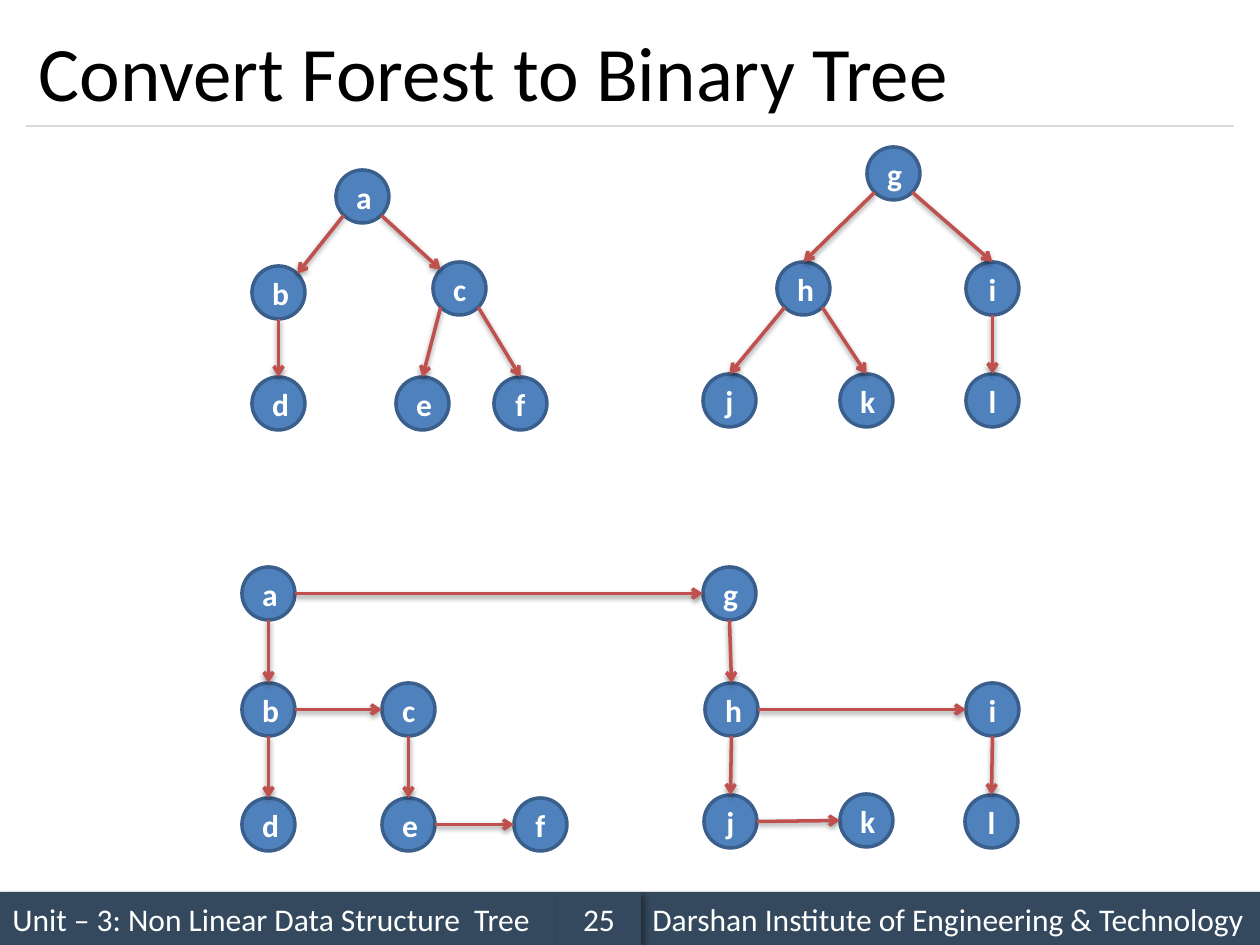
from lxml import etree
from pptx import Presentation
from pptx.dml.color import RGBColor
from pptx.enum.shapes import MSO_CONNECTOR, MSO_SHAPE
from pptx.enum.text import MSO_ANCHOR, PP_ALIGN
from pptx.oxml.ns import qn
from pptx.util import Pt

PX = 914400 / 126
LEFT, CENTER = PP_ALIGN.LEFT, PP_ALIGN.CENTER
MIDDLE = MSO_ANCHOR.MIDDLE
RECT, OVAL = MSO_SHAPE.RECTANGLE, MSO_SHAPE.OVAL
STRAIGHT = MSO_CONNECTOR.STRAIGHT
FONT = "Calibri"
WHITE, BLACK, RULE, BAR = "FFFFFF", "000000", "D9D9D9", "34495E"
NODE, NODE_LINE, EDGE = "4F81BD", "3A5F8C", "C0504D"
NODE_SIZE = 53
BAR_SHADOW = dict(blur=4, dist=3, angle=45, alpha=40)
EDGE_SHADOW = dict(blur=3.1, dist=1.6, angle=90, alpha=38)
SITES = {"top": (0, -1), "bottom": (0, 1), "left": (-1, 0), "right": (1, 0),
         "tl": (-0.71, -0.71), "tr": (0.71, -0.71),
         "bl": (-0.71, 0.71), "br": (0.71, 0.71)}


def px(*values):
    """Turn pixel lengths into EMU."""
    return [round(v * PX) for v in values]


def rgb(value):
    """Return the colour of a hex string."""
    return RGBColor.from_string(value)


def set_text(sp, text, size=18, color=WHITE, bold=False, align=CENTER):
    """Write one formatted paragraph into a shape."""
    tf = sp.text_frame
    tf.word_wrap = True
    tf.vertical_anchor = MIDDLE
    p = tf.paragraphs[0]
    p.alignment = align
    r = p.add_run()
    r.text = text
    r.font.name = FONT
    r.font.size = Pt(size)
    r.font.bold = bold
    r.font.color.rgb = rgb(color)


def set_shadow(sp, blur, dist, angle, alpha):
    """Give a shape an outer shadow in black."""
    effects = sp._element.spPr.find(qn("a:effectLst"))
    shadow = etree.SubElement(
        effects, qn("a:outerShdw"), blurRad=str(Pt(blur)), dist=str(Pt(dist)),
        dir=str(angle * 60000), algn="ctr", rotWithShape="0")
    color = etree.SubElement(shadow, qn("a:srgbClr"), val=BLACK)
    etree.SubElement(color, qn("a:alpha"), val=str(alpha * 1000))


def add_filled(shapes, kind, box, fill, line=None):
    """Add a flat preset shape, outlined if a line colour is given."""
    sp = shapes.add_shape(kind, *px(*box))
    sp.shadow.inherit = False
    sp.fill.solid()
    sp.fill.fore_color.rgb = rgb(fill)
    if line:
        sp.line.color.rgb = rgb(line)
        sp.line.width = Pt(2)
    else:
        sp.line.fill.background()
    return sp


def add_line(shapes, start, end, color, width):
    """Add a straight connector without a shadow."""
    cxn = shapes.add_connector(STRAIGHT, *px(*start, *end))
    cxn.line.color.rgb = rgb(color)
    cxn.line.width = Pt(width)
    etree.SubElement(cxn._element.spPr, qn("a:effectLst"))
    return cxn


def add_edge(shapes, start, end):
    """Add an arrow between two points."""
    cxn = add_line(shapes, start, end, EDGE, 2)
    etree.SubElement(cxn.line._get_or_add_ln(), qn("a:tailEnd"), type="arrow")
    set_shadow(cxn, **EDGE_SHADOW)


def add_tree(shapes, x, y, nodes, edges):
    """Draw named nodes, and arrows between their sites, from a corner."""
    radius = NODE_SIZE / 2

    def site(name, side):
        """Return the point on one side of a node."""
        return [corner + at + radius * (1 + offset)
                for corner, at, offset in zip((x, y), nodes[name], SITES[side])]

    for name, (left, top) in nodes.items():
        sp = add_filled(shapes, OVAL, (x + left, y + top, NODE_SIZE, NODE_SIZE),
                        NODE, NODE_LINE)
        set_text(sp, name, bold=True)
    for parent, out_side, child, in_side in edges:
        add_edge(shapes, site(parent, out_side), site(child, in_side))


def add_forest(s):
    """Draw the two source trees, each as a group."""
    add_tree(s.shapes.add_group_shape().shapes, 703, 147,
             {"g": (164, 0), "i": (263, 115), "h": (74, 115),
              "l": (263, 227), "j": (0, 227), "k": (137, 227)},
             [("i", "bottom", "l", "top"), ("g", "br", "i", "top"),
              ("g", "bl", "h", "top"), ("h", "bl", "j", "top"),
              ("h", "br", "k", "top")])
    add_tree(s.shapes.add_group_shape().shapes, 252, 170,
             {"a": (84, 0), "b": (0, 96), "c": (181, 92),
              "d": (0, 207), "e": (144, 207), "f": (242, 207)},
             [("b", "bottom", "d", "top"), ("a", "bl", "b", "tr"),
              ("a", "br", "c", "tl"), ("c", "bl", "e", "top"),
              ("c", "br", "f", "top")])


def add_binary_tree(s):
    """Draw the converted tree: first child below, next sibling right."""
    nodes = {"g": (461, 0), "i": (724, 116), "h": (463, 116),
             "l": (723, 228), "j": (462, 228), "k": (598, 227),
             "a": (0, 0), "b": (0, 116), "c": (140, 116),
             "d": (0, 231), "e": (140, 231), "f": (272, 231)}
    children = ["il", "gh", "hj", "bd", "ab", "ce"]
    siblings = ["hi", "jk", "bc", "ef", "ag"]
    edges = [(a, "bottom", b, "top") for a, b in children]
    edges += [(a, "right", b, "left") for a, b in siblings]
    add_tree(s.shapes, 242, 567, nodes, edges)


def add_header(s, x, y, w, h):
    """Place the title and the rule under it."""
    sp = s.shapes.title
    sp.left, sp.top, sp.width, sp.height = px(x, y, w, h)
    set_text(sp, "Convert Forest to Binary Tree", size=44, color=BLACK, align=LEFT)
    add_line(s.shapes, (x, y + h), (x + w, y + h), RULE, 0.75)


def add_footer(s, y, h):
    """Draw the three bars at the foot of the slide."""
    for x, w, text, align in [
            (0, 557, "Unit – 3: Non Linear Data Structure  Tree", LEFT),
            (640, 620, "Darshan Institute of Engineering & Technology", LEFT),
            (557, 84, "25", CENTER)]:
        sp = add_filled(s.shapes, RECT, (x, y, w, h), BAR)
        set_shadow(sp, **BAR_SHADOW)
        set_text(sp, text, align=align)


def main():
    """Build the slide and save it."""
    prs = Presentation()
    prs.slide_width, prs.slide_height = px(1260, 945)
    s = prs.slides.add_slide(prs.slide_layouts[5])
    add_footer(s, 892, 53)
    add_header(s, 26, 15, 1208, 111)
    add_forest(s)
    add_binary_tree(s)
    prs.save("out.pptx")


if __name__ == "__main__":
    main()
